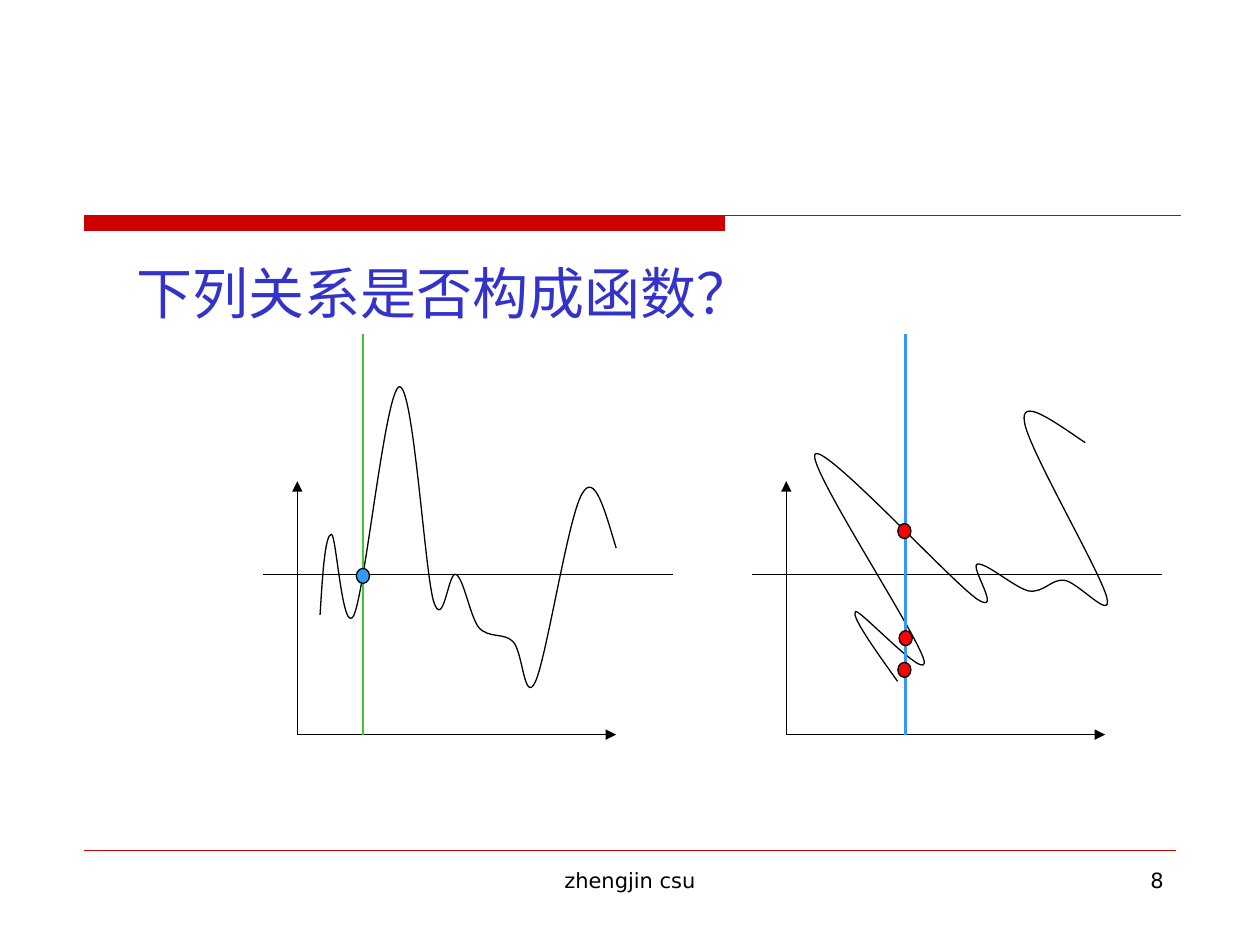
"""Builds a slide that asks which of two plotted relations is a function."""
from copy import deepcopy
from dataclasses import dataclass

from lxml.etree import SubElement
from pptx import Presentation
from pptx.dml.color import RGBColor
from pptx.enum.shapes import MSO_CONNECTOR as Connector, MSO_SHAPE as Preset
from pptx.enum.text import MSO_ANCHOR as Anchor, PP_ALIGN as Align
from pptx.oxml.ns import qn
from pptx.util import Pt

Point = tuple[float, float]

BLACK, RED, DEEP_RED = "000000", "FF0000", "CC0000"
BLUE, GREEN, TITLE_BLUE = "3399FF", "33CC33", "3333CC"
FONT = "DejaVu Sans"
AXIS_Y, MIDDLE_Y, AXIS_TOP, TEST_TOP = 419.8, 328.3, 275, 190.8
DOT_WIDTH, DOT_HEIGHT = 7.5, 8.6

CURVE = [
    (182.9, 351.4),
    (184.3, 328.3), (185.8, 305.3), (189.4, 305.3),
    (192.2, 305.3), (195.8, 365), (202.3, 351.4),
    (208.8, 337), (220.3, 222.5), (228.2, 221),
    (236.2, 219.6), (242.6, 325.4), (247.7, 343.4),
    (253.4, 361.4), (256.3, 325.4), (260.6, 328.3),
    (265, 330.5), (268.6, 352.1), (273.6, 358.6),
    (279.4, 365), (288, 361.4), (293, 366.5),
    (298.8, 371.5), (299.5, 403.2), (306, 389.5),
    (312.5, 375.1), (324.7, 295.2), (332.6, 282.2),
    (339.8, 269.3), (345.6, 291.6), (352.1, 313.2),
]


@dataclass
class Label:
    text: str
    left: float
    top: float
    width: float
    height: float
    size: float
    color: str
    align: Align
    anchor: Anchor = Anchor.TOP


@dataclass
class Plot:
    origin_x: float
    test_x: float
    test_color: str
    dot_color: str
    dots: list[Point]
    curve_shift: Point = (0, 0)
    curve_rotation: float = 0


LABELS = [
    Label("zhengjin csu", 246, 492, 228, 37.5, 12, BLACK, Align.CENTER),
    Label("8", 516, 492, 156, 37.5, 12, BLACK, Align.RIGHT),
    Label("下列关系是否构成函数？", 71, 99.5, 613.5, 90, 32, TITLE_BLUE,
          Align.LEFT, Anchor.BOTTOM),
]

PLOTS = [
    Plot(169.9, 207.4, GREEN, BLUE, [(207.4, 329.1)]),
    Plot(449.3, 517.5, BLUE, RED, [(516.8, 303.5), (516.8, 382.8), (517.5, 364.7)],
         (285.8, -6.5), 320.9),
]


def apply_format(target, values: dict) -> None:
    for name, value in values.items():
        setattr(target, name, value)


def paint(color_format, color: str) -> None:
    color_format.rgb = RGBColor.from_string(color)


def add_label(page, label: Label) -> None:
    box = page.shapes.add_textbox(
        Pt(label.left), Pt(label.top), Pt(label.width), Pt(label.height))
    apply_format(box.text_frame, {"word_wrap": True, "vertical_anchor": label.anchor})
    para = box.text_frame.paragraphs[0]
    para.alignment = label.align
    span = para.add_run()
    span.text = label.text
    apply_format(span.font, {"name": FONT, "size": Pt(label.size)})
    paint(span.font.color, label.color)


def add_line(page, start: Point, end: Point, color: str = BLACK,
             width: float = 0.75, arrow: bool = False) -> None:
    line = page.shapes.add_connector(
        Connector.STRAIGHT, *(Pt(value) for value in start + end))
    paint(line.line.color, color)
    line.line.width = Pt(width)
    if arrow:
        SubElement(line.line._get_or_add_ln(), qn("a:tailEnd"), type="triangle")
    SubElement(line._element.spPr, qn("a:effectLst"))


def style_shape(shape, fill: str | None, line: str) -> None:
    shape.shadow.inherit = False
    if fill:
        shape.fill.solid()
        paint(shape.fill.fore_color, fill)
    else:
        shape.fill.background()
    paint(shape.line.color, line)
    shape.line.width = Pt(0.75)


def start_outline(page, points: list[Point], close: bool):
    start, *rest = [(Pt(x), Pt(y)) for x, y in points]
    builder = page.shapes.build_freeform(*start)
    builder.add_line_segments(rest, close=close)
    return builder


def add_header(page) -> None:
    left, top, bar_right, bottom, rule_right = 48, 123, 414.5, 132, 674.6
    builder = start_outline(
        page, [(left, top), (bar_right, top), (bar_right, bottom), (left, bottom)], True)
    builder.move_to(Pt(left), Pt(top))
    builder.add_line_segments([(Pt(rule_right), Pt(top))], close=False)
    header = builder.convert_to_shape()
    bar = next(header._element.iter(qn("a:path")))
    rule = deepcopy(bar)
    bar.addnext(rule)
    for step in bar[-2:]:
        bar.remove(step)
    for step in rule[:-2]:
        rule.remove(step)
    bar.set("stroke", "0")
    style_shape(header, DEEP_RED, DEEP_RED)


def add_curve(page, shift: Point, rotation: float) -> None:
    points = [(x + shift[0], y + shift[1]) for x, y in CURVE]
    curve = start_outline(page, points, False).convert_to_shape()
    outline = next(curve._element.iter(qn("a:path")))
    segments = list(outline)[1:]
    for first in range(0, len(segments), 3):
        bezier = SubElement(outline, qn("a:cubicBezTo"))
        for segment in segments[first:first + 3]:
            bezier.append(segment[0])
            outline.remove(segment)
    curve.rotation = rotation
    style_shape(curve, None, BLACK)


def add_dot(page, center: Point, color: str) -> None:
    x, y = center
    dot = page.shapes.add_shape(
        Preset.OVAL, Pt(x - DOT_WIDTH / 2), Pt(y - DOT_HEIGHT / 2),
        Pt(DOT_WIDTH), Pt(DOT_HEIGHT))
    style_shape(dot, color, BLACK)


def add_plot(page, plot: Plot) -> None:
    origin = (plot.origin_x, AXIS_Y)
    add_line(page, origin, (plot.origin_x, AXIS_TOP), arrow=True)
    add_line(page, origin, (plot.origin_x + 182.2, AXIS_Y), arrow=True)
    add_curve(page, plot.curve_shift, plot.curve_rotation)
    add_line(page, (plot.origin_x - 19.4, MIDDLE_Y), (plot.origin_x + 214.6, MIDDLE_Y))
    add_line(page, (plot.test_x, AXIS_Y), (plot.test_x, TEST_TOP), plot.test_color, 1.5)
    for center in plot.dots:
        add_dot(page, center, plot.dot_color)


def main() -> None:
    deck = Presentation()
    apply_format(deck, {"slide_width": Pt(720), "slide_height": Pt(540)})
    page = deck.slides.add_slide(deck.slide_layouts[6])
    add_header(page)
    add_line(page, (48, 486), (672, 486), DEEP_RED, 0.25)
    for label in LABELS:
        add_label(page, label)
    for plot in PLOTS:
        add_plot(page, plot)
    deck.save("out.pptx")


if __name__ == "__main__":
    main()
